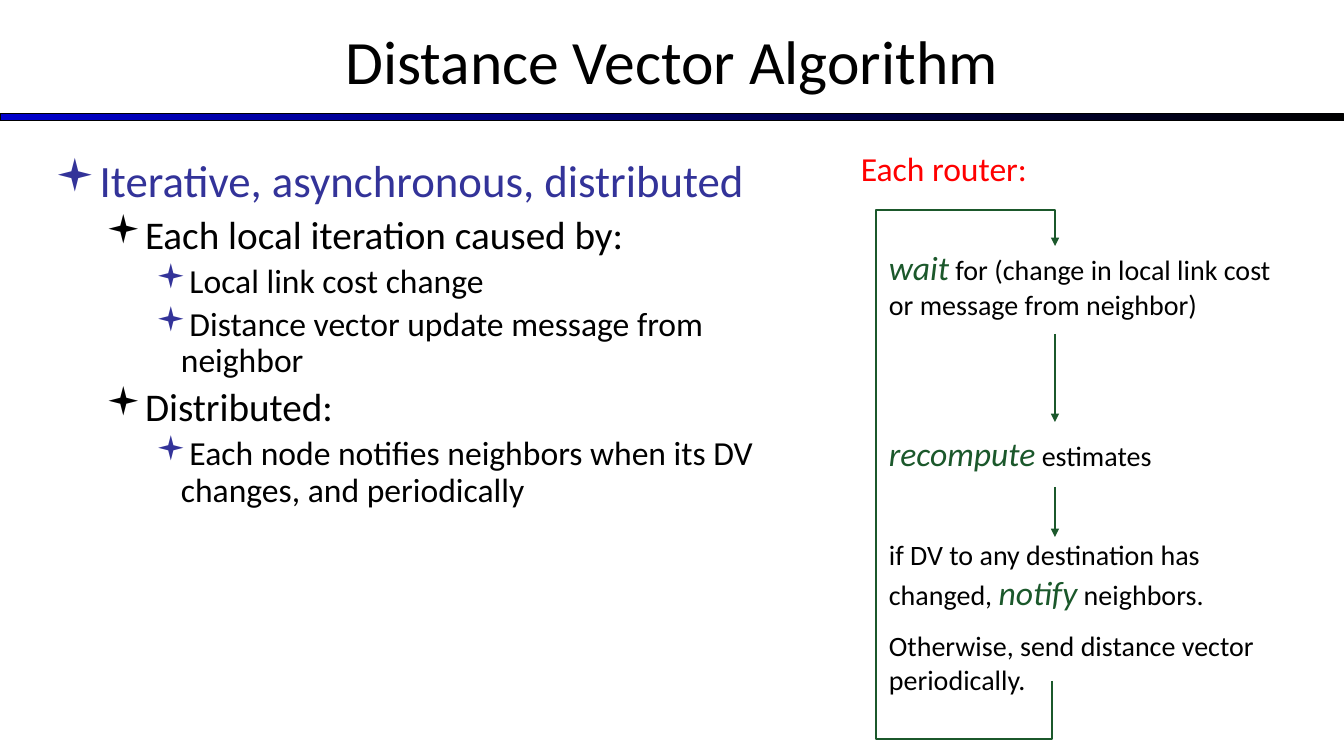
from lxml import etree
from pptx import Presentation
from pptx.dml.color import RGBColor
from pptx.enum.shapes import MSO_CONNECTOR, MSO_SHAPE
from pptx.enum.text import MSO_ANCHOR, PP_ALIGN
from pptx.oxml.ns import qn
from pptx.util import Emu, Pt

CENTER, LEFT = PP_ALIGN.CENTER, PP_ALIGN.LEFT
MIDDLE, TOP = MSO_ANCHOR.MIDDLE, MSO_ANCHOR.TOP
STRAIGHT, RECTANGLE = MSO_CONNECTOR.STRAIGHT, MSO_SHAPE.RECTANGLE

BLACK = RGBColor(0x00, 0x00, 0x00)
BLUE = RGBColor(0x00, 0x00, 0xCC)
INDIGO = RGBColor(0x33, 0x33, 0x99)
GREEN = RGBColor(0x1B, 0x58, 0x2B)
RED = RGBColor(0xFF, 0x00, 0x00)

FONT = "Calibri"
BULLET_FONT = "Wingdings"
PX = 914400 / 100.8  # EMU in one px
BREAK = "break"

# Content
TITLE = "Distance Vector Algorithm"
BULLETS = [  # level, text
    (0, "Iterative, asynchronous, distributed"),
    (1, "Each local iteration caused by:"),
    (2, "Local link cost change"),
    (2, "Distance vector update message from neighbor"),
    (1, "Distributed:"),
    (2, "Each node notifies neighbors when its DV changes, and periodically"),
]
LEVELS = [  # size in pt, colour, bullet colour, text indent px, hanging px
    (32, INDIGO, INDIGO, 38, 38),
    (28, BLACK, BLACK, 82, 31),
    (24, BLACK, INDIGO, 126, 25),
]
ROUTER_LABEL = "Each router:"
KEYWORDS = {"wait", "recompute", "notify"}
STEPS = [  # top px, height px, paragraphs as lists of runs
    (242, 85, [["wait", " for (change in local link cost or message from neighbor)"]]),
    (428, 51, [["recompute", " estimates"]]),
    (533, 180, [
        ["if DV to any destination has changed, ", "notify", " neighbors."],
        ["Otherwise, send distance vector", BREAK, "periodically."],
    ]),
]
ARROW_X = 1055
ARROWS = [(334, 422), (487, 537)]  # from y, to y
LOOP = [(1052, 681), (1052, 739), (876, 739), (876, 210), (ARROW_X, 210), (ARROW_X, 246)]


def px(length):
    return Emu(round(length * PX))


def add_box(left, top, width, height, anchor=TOP):
    box = page.shapes.add_textbox(px(left), px(top), px(width), px(height))
    frame = box.text_frame
    frame.word_wrap = True
    frame.vertical_anchor = anchor
    return frame


def add_para(frame, index, align=LEFT):
    para = frame.add_paragraph() if index else frame.paragraphs[0]
    para.alignment = align
    return para


def add_span(para, text, size, color, italic=False):
    span = para.add_run()
    span.text = text
    span.font.name = FONT
    span.font.size = Pt(size)
    span.font.italic = italic
    span.font.color.rgb = color


def set_bullet(para, color, indent, hanging):
    props = para._p.get_or_add_pPr()
    props.set("marL", str(px(indent)))
    props.set("indent", str(-px(hanging)))
    bullet_color = etree.SubElement(props, qn("a:buClr"))
    etree.SubElement(bullet_color, qn("a:srgbClr"), val=str(color))
    etree.SubElement(props, qn("a:buFont"), typeface=BULLET_FONT)
    etree.SubElement(props, qn("a:buChar"), char="▪")


def style_arrow(shape):
    shape.line.color.rgb = GREEN
    shape.line.width = Pt(1.5)
    etree.SubElement(shape.line._get_or_add_ln(), qn("a:tailEnd"), type="triangle")


deck = Presentation()
deck.slide_width, deck.slide_height = px(1344), px(756)
page = deck.slides.add_slide(deck.slide_layouts[6])

# Rule under the title
rule = page.shapes.add_shape(RECTANGLE, px(0), px(114), px(1344), px(7))
rule.shadow.inherit = False
rule.fill.gradient()
rule.fill.gradient_angle = 0
for stop, color in zip(rule.fill.gradient_stops, (BLUE, BLACK)):
    stop.color.rgb = color
rule.line.color.rgb = BLACK
rule.line.width = Pt(0.75)

# Title
title = add_box(0, -3, 1344, 126, MIDDLE)
add_span(add_para(title, 0, CENTER), TITLE, 44, BLACK)

# Bullet list
body = add_box(45, 154, 720, 521)
for index, (level, text) in enumerate(BULLETS):
    size, color, bullet_color, indent, hanging = LEVELS[level]
    para = add_para(body, index)
    para.level = level
    para.line_spacing = 0.9
    para.space_before = Pt(size * 0.2)
    set_bullet(para, bullet_color, indent, hanging)
    add_span(para, text, size, color)

# Router steps
for top, height, paragraphs in STEPS:
    step = add_box(879, top, 406, height)
    for index, texts in enumerate(paragraphs):
        para = add_para(step, index)
        if index:
            para.space_before = Pt(12)
        for text in texts:
            if text == BREAK:
                para.add_line_break()
            elif text in KEYWORDS:
                add_span(para, text, 24, GREEN, italic=True)
            else:
                add_span(para, text, 20, BLACK)

# Arrows between the steps
for start, end in ARROWS:
    arrow = page.shapes.add_connector(STRAIGHT, px(ARROW_X), px(start), px(ARROW_X), px(end))
    style_arrow(arrow)
    etree.SubElement(arrow._element.spPr, qn("a:effectLst"))

# Loop back to the first step
builder = page.shapes.build_freeform(*LOOP[0], scale=PX)
builder.add_line_segments(LOOP[1:], close=False)
loop = builder.convert_to_shape()
loop.shadow.inherit = False
loop.fill.background()
style_arrow(loop)

# Router label
label = add_box(844, 143, 200, 50)
add_span(add_para(label, 0, CENTER), ROUTER_LABEL, 24, RED)

deck.save("out.pptx")
